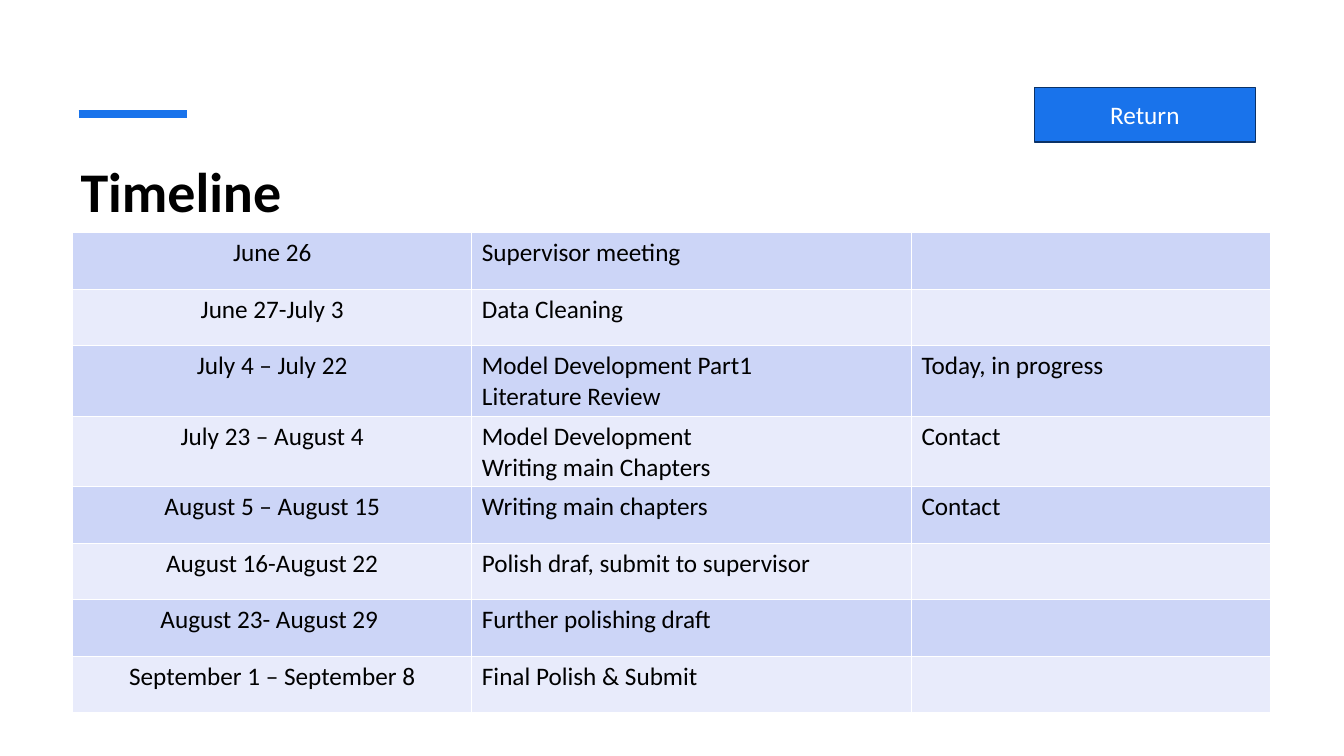
from lxml import etree
from pptx import Presentation
from pptx.dml.color import RGBColor
from pptx.enum.shapes import MSO_CONNECTOR, MSO_SHAPE
from pptx.enum.text import MSO_ANCHOR, PP_ALIGN
from pptx.oxml.ns import qn
from pptx.util import Inches, Pt

STRAIGHT = MSO_CONNECTOR.STRAIGHT
RECTANGLE = MSO_SHAPE.RECTANGLE
MIDDLE = MSO_ANCHOR.MIDDLE
LEFT, CENTER = PP_ALIGN.LEFT, PP_ALIGN.CENTER

BLUE = RGBColor(0x19, 0x73, 0xEB)
NAVY = RGBColor(0x0B, 0x32, 0x67)
BLACK = RGBColor(0x00, 0x00, 0x00)
WHITE = RGBColor(0xFF, 0xFF, 0xFF)
BANDS = (RGBColor(0xCC, 0xD5, 0xF7), RGBColor(0xE8, 0xEB, 0xFB))

COLUMN_WIDTHS = (3.96, 4.36, 3.56)
ROW_HEIGHT = 0.56
SCHEDULE = [
    ("June 26", "Supervisor meeting", ""),
    ("June 27-July 3", "Data Cleaning", ""),
    ("July 4 – July 22", "Model Development Part1\nLiterature Review", "Today, in progress"),
    ("July 23 – August 4", "Model Development \nWriting main Chapters", "Contact"),
    ("August 5 – August 15", "Writing main chapters", "Contact"),
    ("August 16-August 22", "Polish draf, submit to supervisor", ""),
    ("August 23- August 29 ", "Further polishing draft", ""),
    ("September 1 – September 8", "Final Polish & Submit", ""),
]


def write(frame, text, size=18, color=BLACK, bold=False, align=LEFT):
    """Fill the first paragraph; a newline becomes a line break."""
    paragraph = frame.paragraphs[0]
    paragraph.text = text
    paragraph.alignment = align
    for run in paragraph.runs:
        run.font.name = "Calibri"
        run.font.size = Pt(size)
        run.font.bold = bold
        run.font.color.rgb = color


def set_borders(cell, color, width):
    properties = cell._tc.get_or_add_tcPr()
    for index, side in enumerate(("a:lnL", "a:lnR", "a:lnT", "a:lnB")):
        border = etree.Element(qn(side), w=str(Pt(width)))
        fill = etree.SubElement(border, qn("a:solidFill"))
        etree.SubElement(fill, qn("a:srgbClr"), val=str(color))
        properties.insert(index, border)


class TimelineSlide:
    def __init__(self, presentation):
        self.shapes = presentation.slides.add_slide(presentation.slide_layouts[6]).shapes

    def line(self, x1, y1, x2, y2, color, width):
        connector = self.shapes.add_connector(
            STRAIGHT, Inches(x1), Inches(y1), Inches(x2), Inches(y2))
        connector.line.color.rgb = color
        connector.line.width = Pt(width)
        etree.SubElement(connector._element.spPr, qn("a:effectLst"))

    def text(self, left, top, width, height, text, **style):
        box = self.shapes.add_textbox(Inches(left), Inches(top), Inches(width), Inches(height))
        box.text_frame.word_wrap = True
        write(box.text_frame, text, **style)

    def button(self, left, top, width, height, text):
        button = self.shapes.add_shape(
            RECTANGLE, Inches(left), Inches(top), Inches(width), Inches(height))
        button.shadow.inherit = False
        button.fill.solid()
        button.fill.fore_color.rgb = BLUE
        button.line.color.rgb = NAVY
        button.line.width = Pt(1)
        button.text_frame.vertical_anchor = MIDDLE
        write(button.text_frame, text, color=WHITE, align=CENTER)

    def table(self, left, top, rows, widths, row_height):
        table = self.shapes.add_table(
            len(rows), len(widths), Inches(left), Inches(top),
            Inches(sum(widths)), Inches(row_height * len(rows))).table
        table.first_row = False
        for column, width in zip(table.columns, widths):
            column.width = Inches(width)
        for r, entries in enumerate(rows):
            table.rows[r].height = Inches(row_height)
            for c, entry in enumerate(entries):
                cell = table.cell(r, c)
                cell.fill.solid()
                cell.fill.fore_color.rgb = BANDS[r % 2]
                set_borders(cell, WHITE, 1)
                write(cell.text_frame, entry, align=LEFT if c else CENTER)


def main():
    presentation = Presentation()
    presentation.slide_width = Inches(13.33)
    presentation.slide_height = Inches(7.5)
    slide = TimelineSlide(presentation)

    # Heading with its accent line
    slide.line(0.78, 1.13, 1.85, 1.13, BLUE, 6)
    slide.text(0.7, 1.5, 11.91, 1.2, "Timeline", size=40, bold=True)

    # Schedule: dates, tasks, status
    slide.table(0.72, 2.31, SCHEDULE, COLUMN_WIDTHS, ROW_HEIGHT)

    # Navigation
    slide.button(10.26, 0.87, 2.19, 0.54, "Return")

    presentation.save("out.pptx")


if __name__ == "__main__":
    main()
